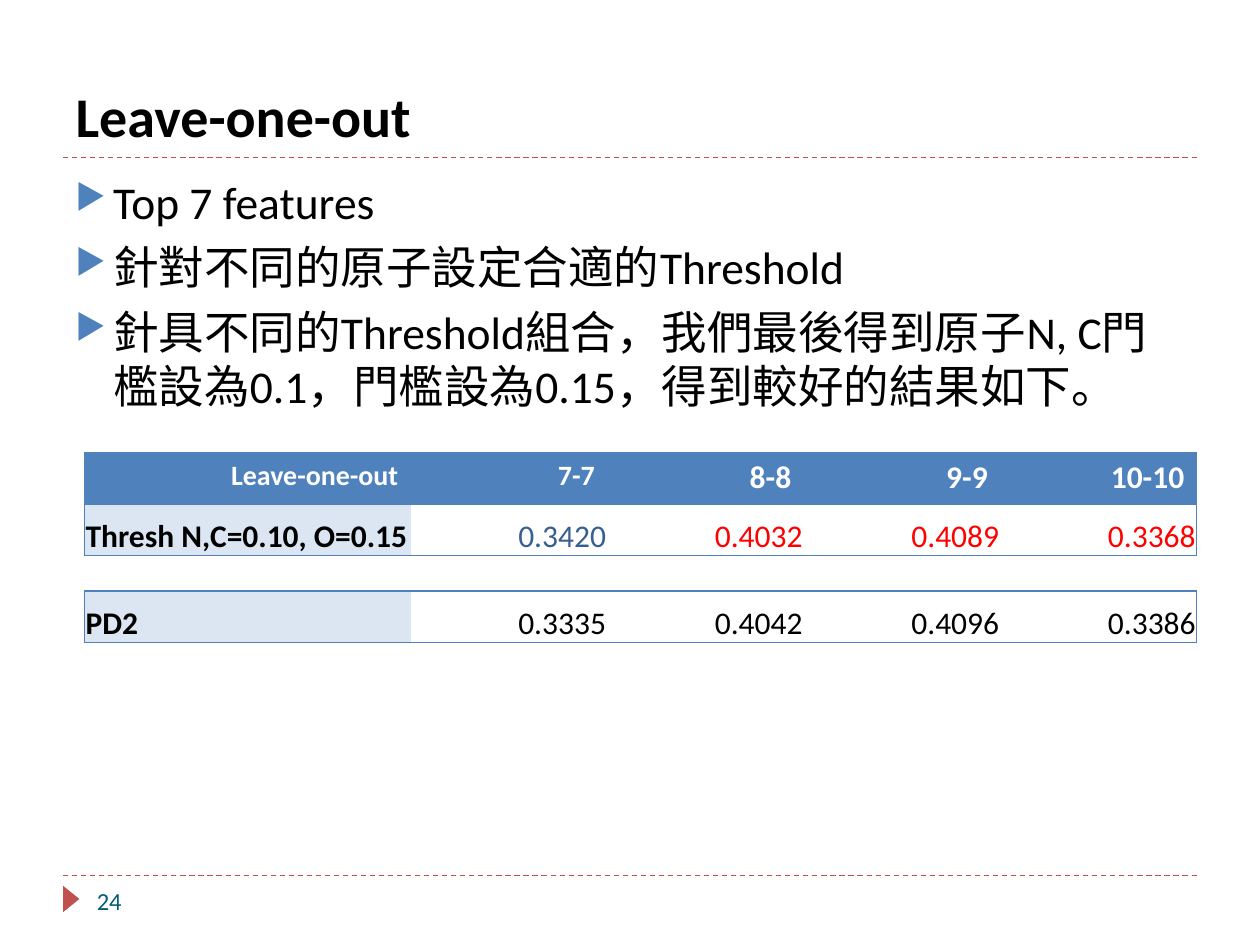
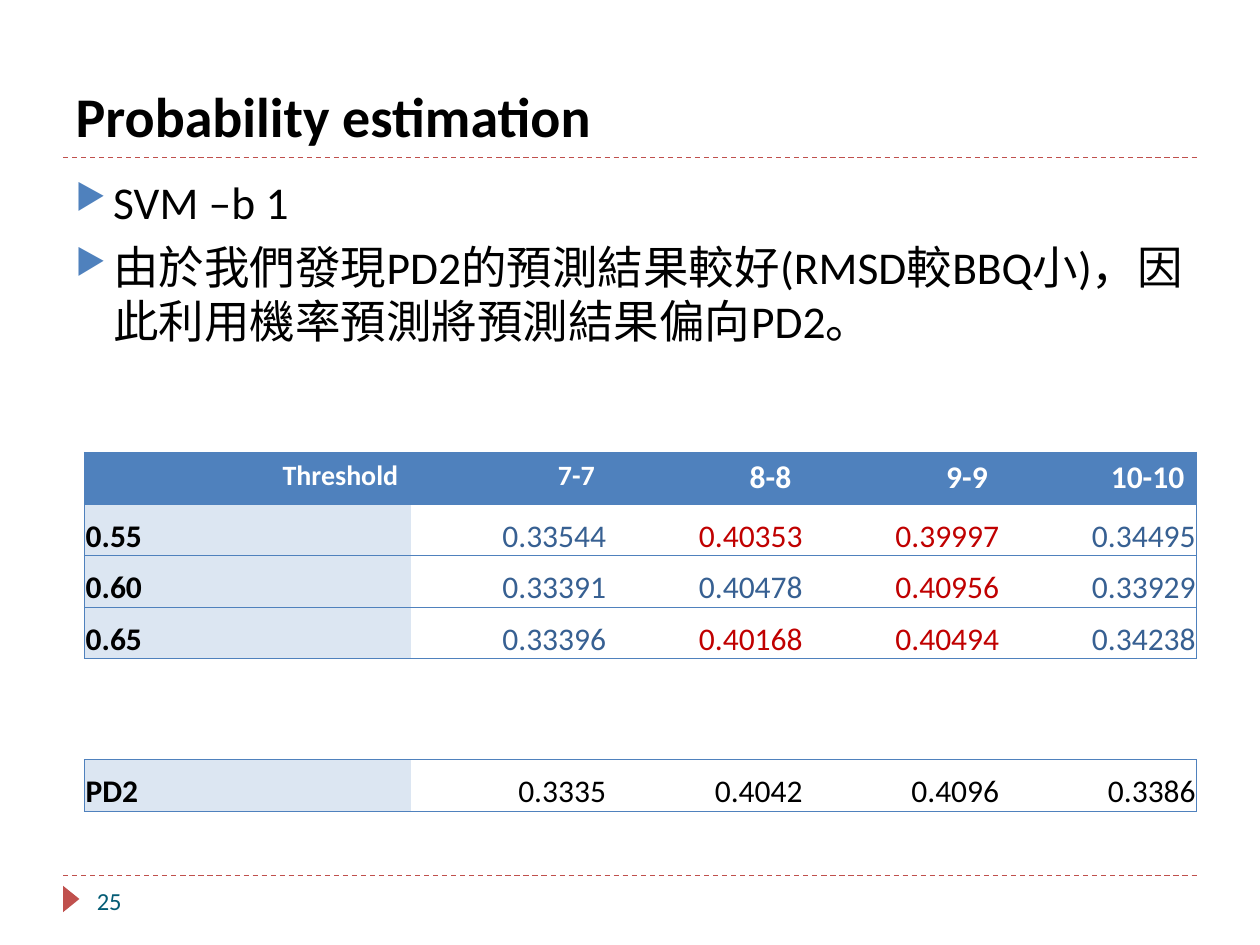
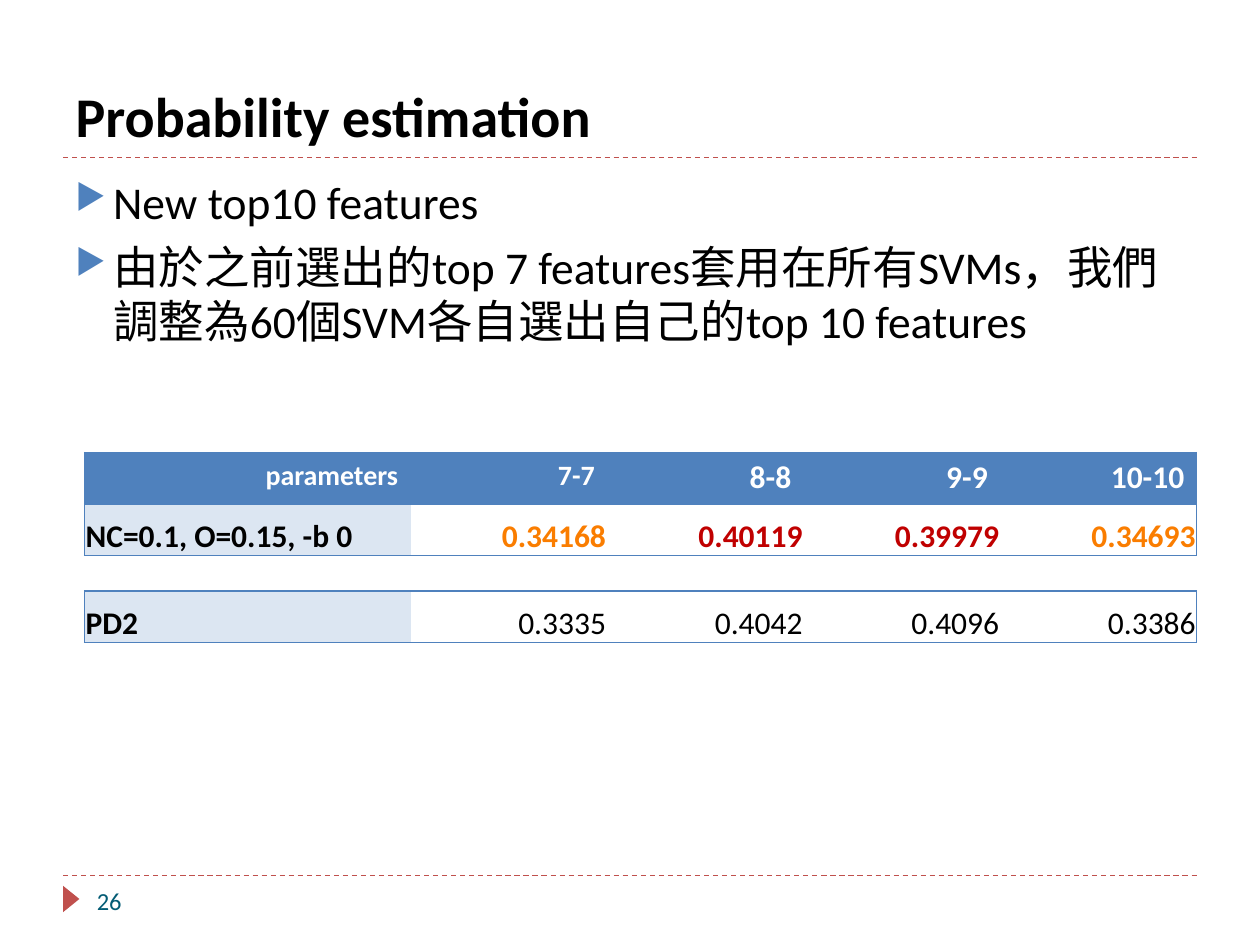
from lxml import etree
from pptx import Presentation
from pptx import util as u
from pptx.dml.color import RGBColor
from pptx.enum import dml, shapes, text
from pptx.oxml import ns

FONT = "Calibri"
BLACK, WHITE, RED, DARK_RED = "000000", "FFFFFF", "FF0000", "C00000"
BLUE, PALE, NAVY, ORANGE = "4F81BD", "DCE6F2", "376092", "FA7D00"
ACCENT, NUMBER = "C0504D", "045C75"
NO_STYLE = "{2D5ABB26-0587-4C30-8999-92F81FD0307C}"

WIDTH, HEIGHT = 10, 7.5
MARGIN = 0.5
CONTENT = WIDTH - 2 * MARGIN
TITLE_RULE, FOOTER_RULE = 1.25, 6.95
TABLE_LEFT, TABLE_TOP = 0.67, 3.59
COLUMNS = [2.59] + [1.56] * 4
ROW = 0.41
INSET = 0.01

SIZES = ["7-7", "8-8", "9-9", "10-10"]
PD2 = ("PD2", ["0.3335", "0.4042", "0.4096", "0.3386"], [BLACK] * 4)
FIRST_NUMBER = 24
SLIDES = [
    {
        "title": "Leave-one-out",
        "points": [
            "Top 7 features",
            "針對不同的原子設定合適的Threshold",
            "針具不同的Threshold組合，我們最後得到原子N, C門檻設為0.1，門檻設為0.15，得到較好的結果如下。",
        ],
        "heading": "Leave-one-out",
        "results": [
            ("Thresh N,C=0.10, O=0.15", ["0.3420", "0.4032", "0.4089", "0.3368"],
             [NAVY, RED, RED, RED]),
        ],
        "bold": False,
        "baseline_top": 4.69,
    },
    {
        "title": "Probability estimation",
        "points": [
            "SVM –b 1",
            "由於我們發現PD2的預測結果較好(RMSD較BBQ小)，因此利用機率預測將預測結果偏向PD2。",
        ],
        "heading": "Threshold",
        "results": [
            ("0.55", ["0.33544", "0.40353", "0.39997", "0.34495"],
             [NAVY, DARK_RED, DARK_RED, NAVY]),
            ("0.60", ["0.33391", "0.40478", "0.40956", "0.33929"],
             [NAVY, NAVY, DARK_RED, NAVY]),
            ("0.65", ["0.33396", "0.40168", "0.40494", "0.34238"],
             [NAVY, DARK_RED, DARK_RED, NAVY]),
        ],
        "bold": False,
        "baseline_top": 6.03,
    },
    {
        "title": "Probability estimation",
        "points": [
            "New top10 features",
            "由於之前選出的top 7 features套用在所有SVMs，我們調整為60個SVM各自選出自己的top 10 features",
        ],
        "heading": "parameters",
        "results": [
            ("NC=0.1, O=0.15, -b 0", ["0.34168", "0.40119", "0.39979", "0.34693"],
             [ORANGE, DARK_RED, DARK_RED, ORANGE]),
        ],
        "bold": True,
        "baseline_top": 4.69,
    },
]


def rgb(color):
    return RGBColor.from_string(color)


def box(*lengths):
    return [u.Inches(length) for length in lengths]


def add(parent, tag, **attributes):
    return etree.SubElement(parent, ns.qn(tag), attributes)


def style(paragraph, size, color, bold=False):
    for run in paragraph.runs:
        font = run.font
        font.name, font.size, font.bold = FONT, u.Pt(size), bold
        font.color.rgb = rgb(color)


def add_rule(slide, y):
    rule = slide.shapes.add_connector(
        shapes.MSO_CONNECTOR.STRAIGHT, *box(MARGIN, y, WIDTH - MARGIN, y))
    rule.line.color.rgb = rgb(ACCENT)
    rule.line.width = u.Pt(0.75)
    rule.line.dash_style = dml.MSO_LINE.DASH
    add(rule._element.spPr, "a:effectLst")


def add_frame(slide, number):
    add_rule(slide, FOOTER_RULE)
    add_rule(slide, TITLE_RULE)
    marker = slide.shapes.add_shape(
        shapes.MSO_SHAPE.ISOSCELES_TRIANGLE, *box(0.46, 7.07, 0.21, 0.13))
    marker.rotation = 90
    marker.shadow.inherit = False
    marker.fill.solid()
    marker.fill.fore_color.rgb = rgb(ACCENT)
    marker.line.fill.background()
    page = slide.shapes.add_textbox(*box(TABLE_LEFT, FOOTER_RULE, 2.17, 0.4)).text_frame
    page.word_wrap = True
    page.vertical_anchor = text.MSO_ANCHOR.MIDDLE
    page.text = str(number)
    style(page.paragraphs[0], 14, NUMBER)


def set_title(slide, words):
    title = slide.shapes.title
    title.left, title.top, title.width, title.height = box(MARGIN, 0.17, 4.89, 1.06)
    frame = title.text_frame
    frame.text = words
    frame.auto_size = text.MSO_AUTO_SIZE.NONE
    frame.vertical_anchor = text.MSO_ANCHOR.BOTTOM
    frame.paragraphs[0].alignment = text.PP_ALIGN.LEFT
    style(frame.paragraphs[0], 32, BLACK, True)


def add_points(slide, points):
    frame = slide.shapes.add_textbox(*box(MARGIN, 1.33, CONTENT, 5.4)).text_frame
    frame.word_wrap = True
    frame.text = "\n".join(points)
    indent = u.Inches(0.3)
    for index, paragraph in enumerate(frame.paragraphs):
        if index:
            paragraph.space_before = u.Pt(6)
        properties = paragraph._p.get_or_add_pPr()
        properties.set("marL", str(indent))
        properties.set("indent", str(-indent))
        add(add(properties, "a:buClr"), "a:srgbClr", val=BLUE)
        add(properties, "a:buSzPct", val="76000")
        add(properties, "a:buChar", char="▶")
        style(paragraph, 26, BLACK)


def add_borders(cell, sides):
    properties = cell._tc.get_or_add_tcPr()
    for side in sides:
        line = add(properties, "a:ln" + side, w=str(u.Pt(0.75)))
        add(add(line, "a:solidFill"), "a:srgbClr", val=BLUE)


def fill_cell(cell, words, column, size, color, bold, fill, heading=False):
    cell.text = words
    paragraph = cell.text_frame.paragraphs[0]
    if column or heading:
        paragraph.alignment = text.PP_ALIGN.RIGHT
    style(paragraph, size, color, bold)
    if not heading:
        cell.vertical_anchor = text.MSO_ANCHOR.BOTTOM
        cell.margin_left = cell.margin_right = cell.margin_top = u.Inches(INSET)
        cell.margin_bottom = 0
    edges = {0: "L", len(COLUMNS) - 1: "R"}
    add_borders(cell, edges.get(column, "") + "TB")
    if fill:
        cell.fill.solid()
        cell.fill.fore_color.rgb = rgb(fill)
    else:
        cell.fill.background()


def add_results(slide, top, results, bold=False, heading=None):
    count = len(results) + bool(heading)
    table = slide.shapes.add_table(
        count, len(COLUMNS), *box(TABLE_LEFT, top, sum(COLUMNS), count * ROW)).table
    table.first_row = bool(heading)
    table.horz_banding = False
    table._tbl.tblPr.find(ns.qn("a:tableStyleId")).text = NO_STYLE
    for column, width in zip(table.columns, COLUMNS):
        column.width = u.Inches(width)
    for row in table.rows:
        row.height = u.Inches(ROW)
    if heading:
        for column, words in enumerate([heading] + SIZES):
            size = 16 if column < 2 else 18
            fill_cell(table.cell(0, column), words, column, size, WHITE, True, BLUE, True)
    for row, (label, values, colors) in enumerate(results, bool(heading)):
        fill_cell(table.cell(row, 0), label, 0, 18, BLACK, True, PALE)
        for column, (value, color) in enumerate(zip(values, colors), 1):
            fill_cell(table.cell(row, column), value, column, 18, color, bold, None)


def main():
    deck = Presentation()
    deck.slide_width, deck.slide_height = box(WIDTH, HEIGHT)
    title_only = deck.slide_layouts[5]
    for number, content in enumerate(SLIDES, FIRST_NUMBER):
        slide = deck.slides.add_slide(title_only)
        add_frame(slide, number)
        set_title(slide, content["title"])
        add_points(slide, content["points"])
        add_results(slide, TABLE_TOP, content["results"], content["bold"], content["heading"])
        add_results(slide, content["baseline_top"], [PD2])
    deck.save("out.pptx")


if __name__ == "__main__":
    main()
